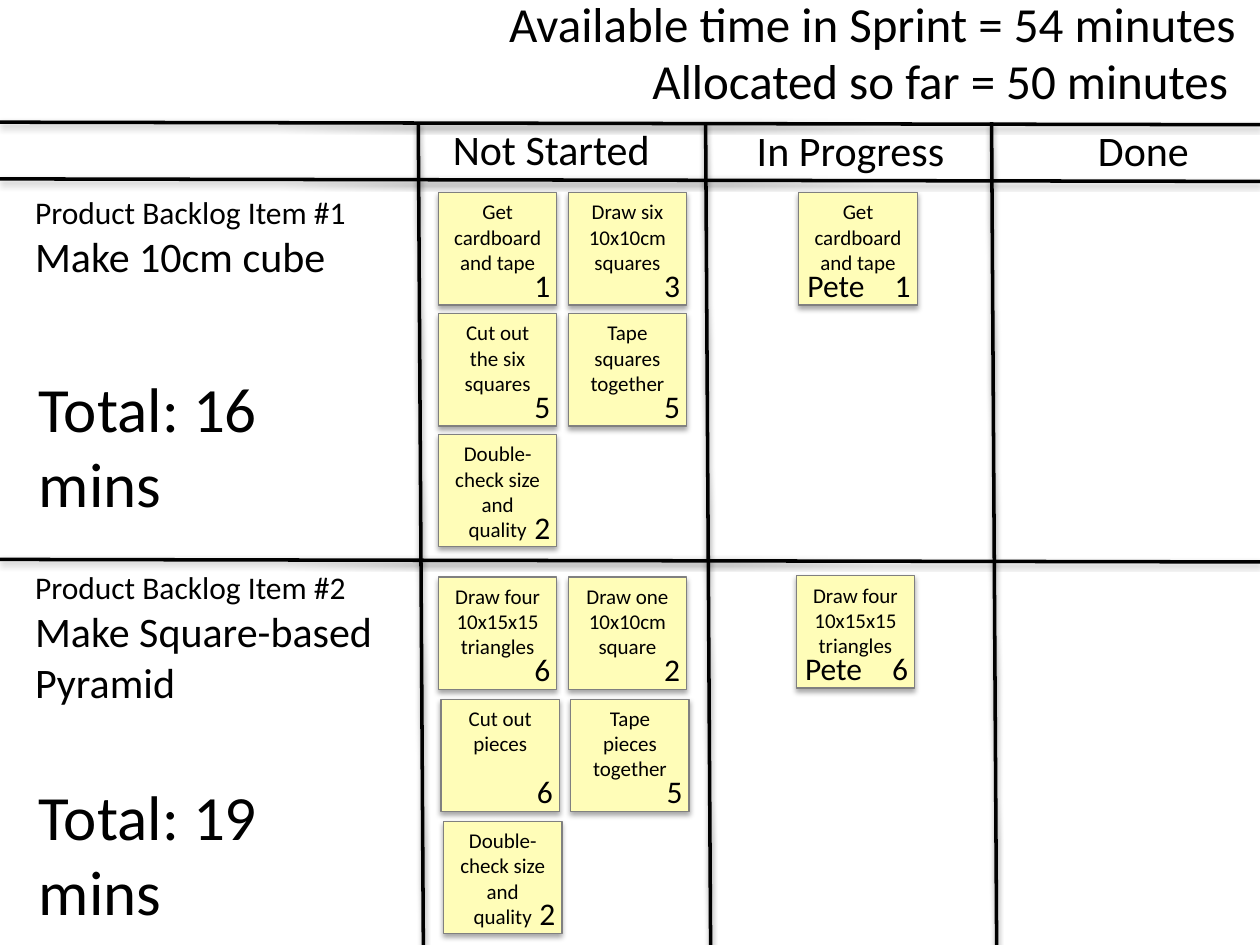
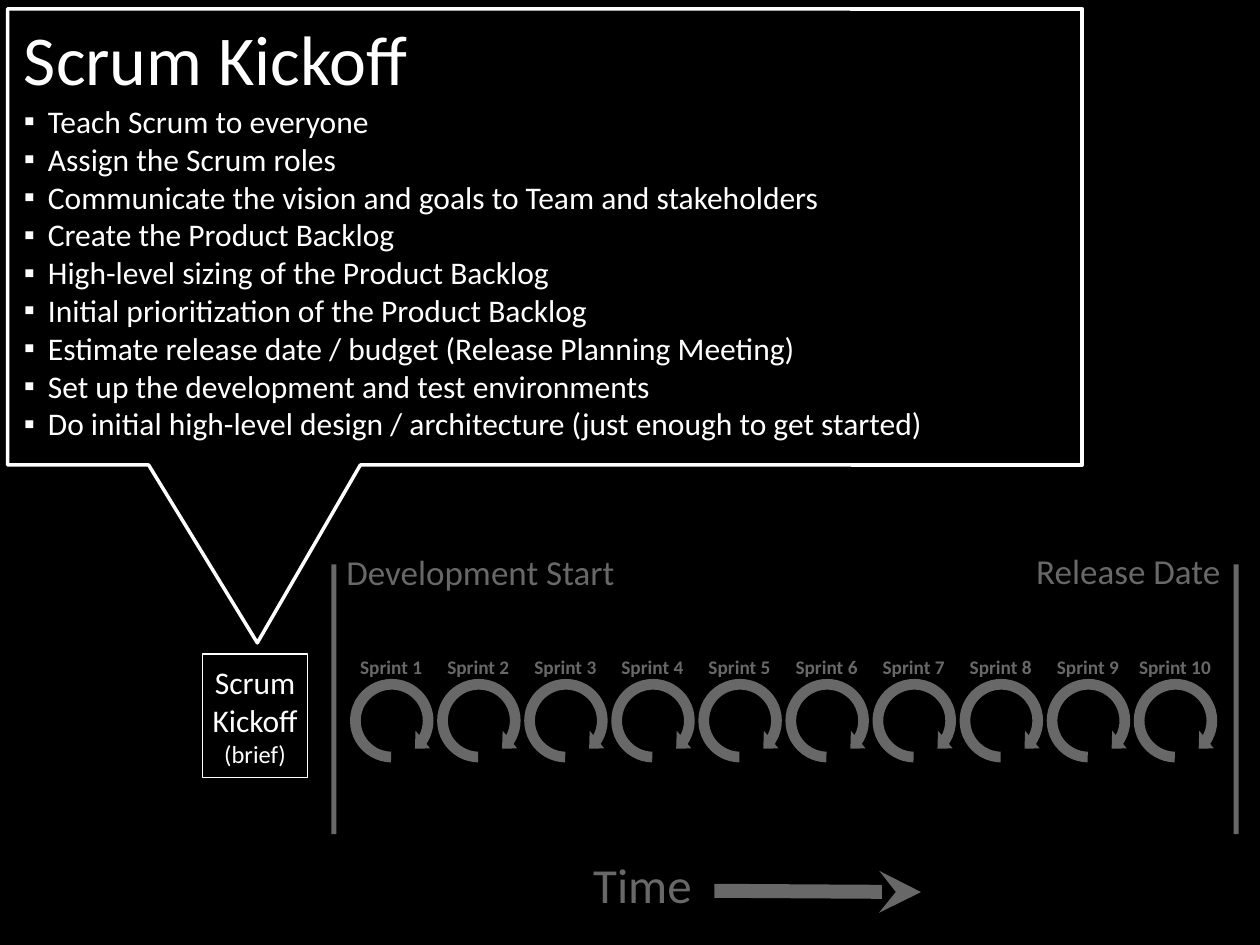
from lxml import etree
from pptx import Presentation
from pptx import util as u
from pptx.dml import color
from pptx.enum import shapes, text
from pptx.oxml import ns

BLACK, WHITE = "000000", "FFFFFF"
NOTE_FILL, NOTE_EDGE = "FFFDB8", "808080"
FONT = "Calibri"
LEFT, CENTER = text.PP_ALIGN.LEFT, text.PP_ALIGN.CENTER
TOP, MIDDLE = text.MSO_ANCHOR.TOP, text.MSO_ANCHOR.MIDDLE
INSETS = (0.1, 0.05, 0.1, 0.05)


def rgb(value):
    return color.RGBColor.from_string(value)


def sub(parent, tag, **attributes):
    """Add a DrawingML child element."""
    return etree.SubElement(parent, ns.qn("a:" + tag), attributes)


class Deck:
    def __init__(self):
        self.prs = Presentation()
        self.prs.slide_width, self.prs.slide_height = u.Inches(10), u.Inches(7.5)

    def new_slide(self, layout, background, ink):
        self.slide = self.prs.slides.add_slide(self.prs.slide_layouts[layout])
        self.ink = ink
        fill = self.slide.background.fill
        fill.solid()
        fill.fore_color.rgb = rgb(background)

    def set_lines(self, frame, lines, align=LEFT, wrap=False, anchor=TOP,
                  insets=INSETS, bold=False):
        """Fill a text frame with (wording, size) lines."""
        margins = dict(zip(("margin_left", "margin_top", "margin_right", "margin_bottom"),
                           map(u.Inches, insets)))
        frame_format = {"word_wrap": wrap, "vertical_anchor": anchor,
                        "auto_size": text.MSO_AUTO_SIZE.NONE, **margins}
        for name, value in frame_format.items():
            setattr(frame, name, value)
        for index, (wording, size) in enumerate(lines):
            paragraph = frame.paragraphs[0] if index == 0 else frame.add_paragraph()
            paragraph.alignment = align
            paragraph.space_before = u.Pt(0)
            run = paragraph.add_run()
            run.text = wording
            for name, value in {"name": FONT, "size": u.Pt(size), "bold": bold}.items():
                setattr(run.font, name, value)
            run.font.color.rgb = rgb(self.ink)

    def label(self, box, *lines, **style):
        frame = self.slide.shapes.add_textbox(*map(u.Inches, box)).text_frame
        self.set_lines(frame, lines, **style)

    def placeholder(self, index, box, lines, **style):
        """Place a template placeholder in front of everything drawn so far."""
        holder = self.slide.placeholders[index]
        for name, value in zip(("left", "top", "width", "height"), box):
            setattr(holder, name, u.Inches(value))
        holder.element.getparent().append(holder.element)
        self.set_lines(holder.text_frame, lines, **style)
        return holder.text_frame

    def bullets(self, box, items, size):
        frame = self.placeholder(1, box, [(item, size) for item in items], wrap=True)
        indent = u.Inches(0.19)
        for paragraph in frame.paragraphs:
            properties = paragraph._p.get_or_add_pPr()
            properties.set("marL", str(indent))
            properties.set("indent", str(-indent))
            sub(properties, "buFont", typeface="Arial")
            sub(properties, "buChar", char="▪")

    def effects(self, item, alpha=0, blur=3.1, distance=1.8):
        """Replace the theme shadow by a soft one below, or by none at alpha 0."""
        effects = sub(item.element.spPr, "effectLst")
        if alpha:
            shadow = sub(effects, "outerShdw", blurRad=str(u.Pt(blur)),
                         dist=str(u.Pt(distance)), dir="5400000", rotWithShape="0")
            sub(sub(shadow, "srgbClr", val=BLACK), "alpha", val=str(alpha * 1000))

    def shape(self, kind, box, fill=None, line=None, width=0.75,
              adjustments=(), shadow=0, opacity=100):
        item = self.slide.shapes.add_shape(kind, *map(u.Inches, box))
        for index, value in enumerate(adjustments):
            item.adjustments[index] = value
        if fill:
            item.fill.solid()
            item.fill.fore_color.rgb = rgb(fill)
            if opacity < 100:
                paint = item.element.spPr.find(".//" + ns.qn("a:srgbClr"))
                sub(paint, "alpha", val=str(opacity * 1000))
        else:
            item.fill.background()
        if line:
            item.line.color.rgb = rgb(line)
            item.line.width = u.Pt(width)
        else:
            item.line.fill.background()
        self.effects(item, shadow)
        return item

    def rect(self, box, **style):
        return self.shape(shapes.MSO_SHAPE.RECTANGLE, box, **style)

    def line(self, start, end, width, shadow=0, arrowhead=None):
        item = self.slide.shapes.add_connector(
            shapes.MSO_CONNECTOR.STRAIGHT, *map(u.Inches, start + end))
        item.line.color.rgb = rgb(self.ink)
        item.line.width = u.Pt(width)
        if arrowhead:
            sub(item.element.spPr.find(ns.qn("a:ln")), "tailEnd", type=arrowhead)
        self.effects(item, shadow, distance=1.6)

    def note(self, x, y, task, minutes, owner=None):
        """Sticky note with its estimate and, once taken, its owner."""
        paper = self.rect((x, y, 0.94, 0.89), fill=NOTE_FILL, line=NOTE_EDGE, shadow=35)
        self.set_lines(paper.text_frame, [(task, 12)], align=CENTER, wrap=True,
                       insets=(0.1, 0.05, 0.1, 0))
        self.label((x + 0.66, y + 0.53, 0.33, 0.4), (str(minutes), 18), align=CENTER)
        if owner:
            self.label((x - 0.03, y + 0.53, 0.65, 0.4), (owner, 18), align=CENTER)


def task_board(deck):
    deck.new_slide(5, WHITE, BLACK)
    deck.placeholder(0, (3.94, -0.1, 6.06, 0.57),
                     [("Available time in Sprint = 54 minutes", 28)])
    deck.label((5.08, 0.35, 4.92, 0.57), ("Allocated so far = 50 minutes", 28))

    for x, y, width, stage in ((3.45, 0.93, 1.85, "Not Started"),
                               (5.89, 0.94, 1.72, "In Progress"),
                               (8.59, 0.94, 0.97, "Done")):
        deck.label((x, y, width, 0.5), (stage, 24), align=CENTER)
    for x in (3.32, 5.6, 7.87):
        deck.line((x, 0.97), (x + 0.04, 7.5), 2, shadow=38)
    for y in (0.97, 1.42, 4.44):
        deck.line((0, y), (10, y + 0.02), 2, shadow=38)

    items = (
        (1.48, 0.81, "Product Backlog Item #1", "Make 10cm cube", 2.88, "Total: 16 mins"),
        (4.46, 1.21, "Product Backlog Item #2", "Make Square-based Pyramid",
         6.12, "Total: 19 mins"),
    )
    for y, height, number, goal, total_y, total in items:
        deck.label((0.18, y, 3.52, height), (number, 18), (goal, 24), wrap=True)
        deck.label((0.21, total_y, 2.7, 1.3), (total, 36), wrap=True)

    cube = (("Get cardboard and tape", 1), ("Draw six 10x10cm squares", 3),
            ("Cut out the six squares", 5), ("Tape squares together", 5),
            ("Double-check size and quality", 2))
    pyramid = (("Draw four 10x15x15 triangles", 6), ("Draw one 10x10cm square", 2),
               ("Cut out pieces", 6), ("Tape pieces together", 5),
               ("Double-check size and quality", 2))
    for tasks, top, pitch, drift in ((cube, 1.53, 0.96, 0), (pyramid, 4.58, 0.97, 0.02)):
        for index, (task, minutes) in enumerate(tasks):
            row, column = divmod(index, 2)
            deck.note(3.48 + 1.03 * column + drift * row, top + pitch * row, task, minutes)
    for x, y, tasks in ((6.34, 1.53, cube), (6.32, 4.57, pyramid)):
        deck.note(x, y, *tasks[0], owner="Pete")


def scrum_kickoff(deck):
    deck.new_slide(1, BLACK, WHITE)
    deck.shape(shapes.MSO_SHAPE.RECTANGULAR_CALLOUT, (0.06, 0.07, 6.72, 3.62), fill=BLACK,
               line=WHITE, width=2, adjustments=(-0.205, 0.89), shadow=35)
    deck.rect((6.76, 0.07, 1.83, 3.62), line=WHITE, width=2)
    deck.rect((6.68, 0.09, 0.18, 3.58), fill=BLACK, line=BLACK)

    deck.line((5.67, 7.07), (7.31, 7.08), 8, arrowhead="stealth")
    deck.label((4.61, 6.73, 1.04, 0.57), ("Time", 28))

    sprints = 10
    for index in range(sprints):
        shift = 6.22 / (sprints - 1) * index
        deck.label((2.68 + shift, 5.15, 0.85, 0.29), (f"Sprint {index + 1}", 11),
                   align=CENTER, wrap=True, bold=True)
        deck.shape(shapes.MSO_SHAPE.CIRCULAR_ARROW, (2.73 + shift, 5.34, 0.76, 0.76),
                   fill=WHITE, adjustments=(0.112, 11.423, 18.81, 54.656, 0.12))

    deck.label((2.65, 4.32, 2.72, 0.44), ("Development Start", 20), wrap=True)
    deck.label((7.94, 4.31, 2.03, 0.44), ("Release Date", 20), align=CENTER, wrap=True)
    for x in (2.63, 9.79):
        deck.rect((x, 4.48, 0.04, 2.14), fill=WHITE)

    deck.placeholder(0, (0.09, 0.07, 8.59, 0.7), [("Scrum Kickoff", 40)])
    deck.bullets((0.09, 0.76, 8.59, 3.13), (
        "Teach Scrum to everyone",
        "Assign the Scrum roles",
        "Communicate the vision and goals to Team and stakeholders",
        "Create the Product Backlog",
        "High-level sizing of the Product Backlog",
        "Initial prioritization of the Product Backlog",
        "Estimate release date / budget (Release Planning Meeting)",
        "Set up the development and test environments",
        "Do initial high-level design / architecture (just enough to get started)",
    ), 18)

    kickoff = deck.rect((1.61, 5.19, 0.83, 0.98), line=WHITE)
    deck.set_lines(kickoff.text_frame, [("Scrum", 18), ("Kickoff", 18), ("(brief)", 14)],
                   align=CENTER, anchor=MIDDLE, insets=(0.04,) * 4)
    deck.rect((2.56, 4.33, 7.44, 3.17), fill=BLACK, opacity=50, shadow=35)


def main():
    deck = Deck()
    task_board(deck)
    scrum_kickoff(deck)
    deck.prs.save("out.pptx")


if __name__ == "__main__":
    main()
